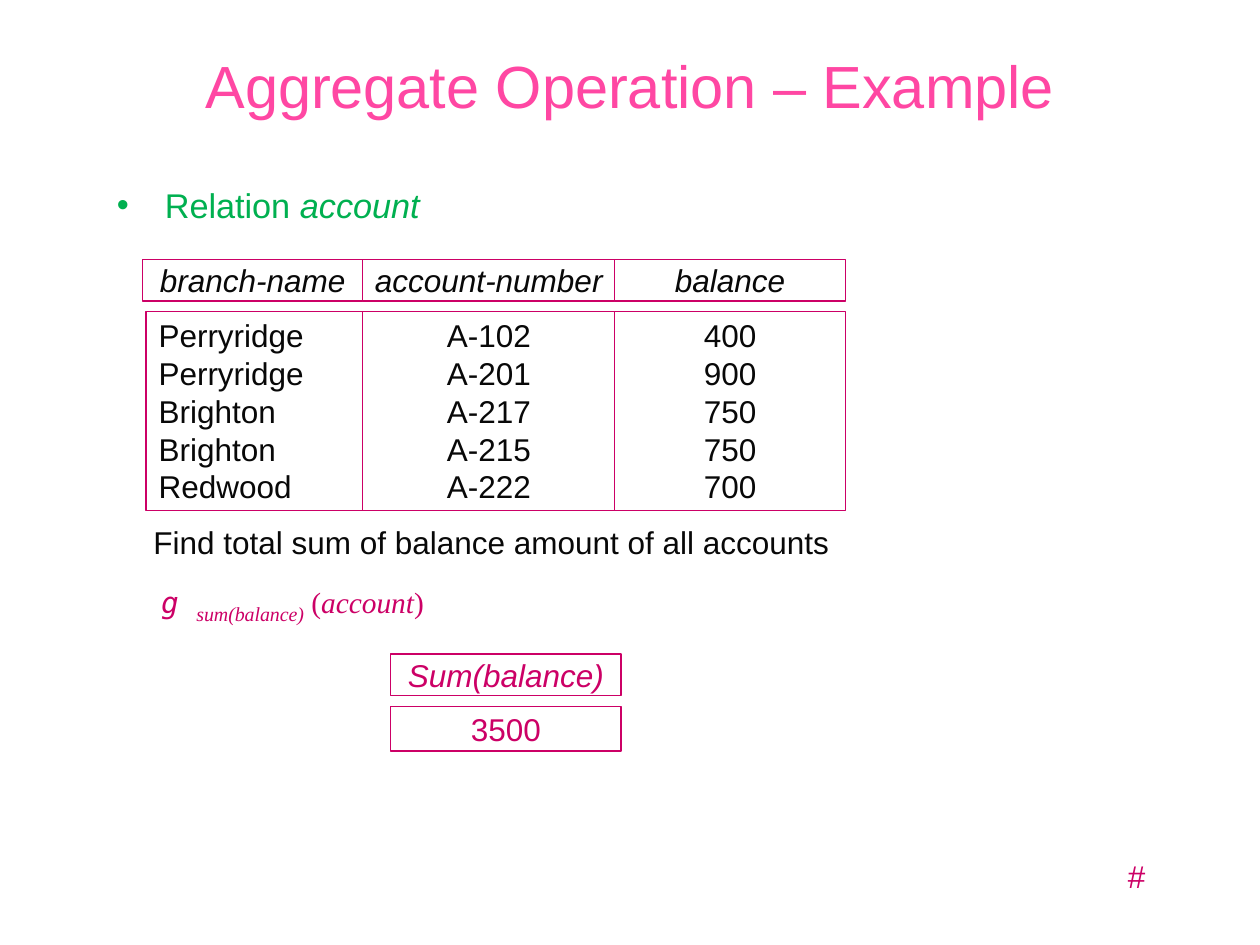
from typing import NamedTuple

import pptx
import pptx.dml.color
import pptx.enum.shapes
import pptx.enum.text
import pptx.util
from lxml import etree

RGBColor = pptx.dml.color.RGBColor
Align = pptx.enum.text.PP_ALIGN
Anchor = pptx.enum.text.MSO_ANCHOR
AutoSize = pptx.enum.text.MSO_AUTO_SIZE

MAGENTA = RGBColor(0xCC, 0x00, 0x66)
PINK = RGBColor(0xFF, 0x47, 0xA3)
GREEN = RGBColor(0x00, 0xB0, 0x50)
INK = RGBColor(0x08, 0x08, 0x08)
WHITE = RGBColor(0xFF, 0xFF, 0xFF)

# The slide is a grid of 100 columns by 75 rows.
COLUMNS, ROWS = 100, 75
SLIDE_WIDTH, SLIDE_HEIGHT = pptx.util.Inches(10), pptx.util.Inches(7.5)


class Area(NamedTuple):
    """A place on the slide, in grid columns and rows."""
    column: float
    row: float
    columns: float
    rows: float

    def lengths(self) -> list[int]:
        across, down = SLIDE_WIDTH / COLUMNS, SLIDE_HEIGHT / ROWS
        return [round(n * unit) for n, unit in zip(self, (across, down, across, down))]


class Run(NamedTuple):
    text: str
    italic: bool = False
    size: float | None = None
    font: str | None = None
    baseline: int = 0


class Field(NamedTuple):
    """One attribute of the account relation."""
    name: str
    column: float
    columns: float
    body_shift: float
    align: Align
    values: list[str]


HEADER_ROW, HEADER_ROWS = 20.6, 3.3
BODY_ROW, BODY_ROWS = 24.7, 15.8
ACCOUNT = [
    Field("branch-name", 11.3, 17.5, 0.3, Align.LEFT,
          ["Perryridge", "Perryridge", "Brighton", "Brighton", "Redwood"]),
    Field("account-number", 28.8, 20, 0, Align.CENTER,
          ["A-102", "A-201", "A-217", "A-215", "A-222"]),
    Field("balance", 48.8, 18.3, 0, Align.CENTER,
          ["400", "900", "750", "750", "700"]),
]


def write(frame, lines: list[list[Run]], *, size: float = 18, color: RGBColor = INK,
          font: str = "Arial", align: Align = Align.LEFT, anchor: Anchor = Anchor.TOP,
          wrap: bool = False, spacing: float | None = None) -> None:
    """Fill a text frame, one paragraph for each list of runs."""
    frame.word_wrap = wrap
    frame.vertical_anchor = anchor
    for index, runs in enumerate(lines):
        paragraph = frame.paragraphs[0] if index == 0 else frame.add_paragraph()
        paragraph.alignment = align
        if spacing:
            paragraph.line_spacing = spacing
        for part in runs:
            run = paragraph.add_run()
            run.text = part.text
            run.font.size = pptx.util.Pt(part.size or size)
            run.font.name = part.font or font
            run.font.italic = part.italic
            run.font.color.rgb = color
            if part.baseline:
                run.font._element.set("baseline", str(part.baseline * 1000))


def add_text(slide, area: Area, runs: list[Run], *, grow: bool = False, **text_format):
    box = slide.shapes.add_textbox(*area.lengths())
    write(box.text_frame, [runs], **text_format)
    box.text_frame.auto_size = AutoSize.SHAPE_TO_FIT_TEXT if grow else AutoSize.NONE
    return box


def add_cell(slide, area: Area, lines: list[str], *, italic: bool = False,
             align: Align = Align.CENTER, color: RGBColor = INK) -> None:
    cell = slide.shapes.add_shape(pptx.enum.shapes.MSO_SHAPE.RECTANGLE, *area.lengths())
    cell.shadow.inherit = False
    cell.fill.solid()
    cell.fill.fore_color.rgb = WHITE
    cell.line.color.rgb = MAGENTA
    cell.line.width = pptx.util.Pt(0.75)
    write(cell.text_frame, [[Run(line, italic)] for line in lines],
          color=color, align=align, anchor=Anchor.MIDDLE)


def add_bullet(paragraph, color: RGBColor, indent: float) -> None:
    properties = paragraph._p.get_or_add_pPr()
    hang = pptx.util.Inches(indent)
    properties.set("marL", str(hang))
    properties.set("indent", str(-hang))
    namespace = properties.nsmap["a"]
    bullet_color = etree.SubElement(properties, f"{{{namespace}}}buClr")
    etree.SubElement(bullet_color, f"{{{namespace}}}srgbClr", val=str(color))
    etree.SubElement(properties, f"{{{namespace}}}buFont", typeface="Arial")
    etree.SubElement(properties, f"{{{namespace}}}buChar", char="•")


def add_relation(slide) -> None:
    for field in ACCOUNT:
        add_cell(slide, Area(field.column, HEADER_ROW, field.columns, HEADER_ROWS),
                 [field.name], italic=True)
    for field in ACCOUNT:
        add_cell(slide, Area(field.column + field.body_shift, BODY_ROW,
                             field.columns, BODY_ROWS),
                 field.values, align=field.align)


def main() -> None:
    deck = pptx.Presentation()
    deck.slide_width, deck.slide_height = SLIDE_WIDTH, SLIDE_HEIGHT
    slide = deck.slides.add_slide(deck.slide_layouts[6])

    add_text(slide, Area(88.5, 67.5, 3.4, 4), [Run("#", True)], color=MAGENTA, grow=True)
    add_text(slide, Area(7.5, 1.7, 85, 10), [Run("Aggregate Operation – Example")],
             size=34, color=PINK, align=Align.CENTER, anchor=Anchor.MIDDLE, wrap=True)
    relation = add_text(slide, Area(8.3, 14.1, 76.9, 4.5),
                        [Run("Relation "), Run("account", True)],
                        size=19.6, color=GREEN, wrap=True)
    add_bullet(relation.text_frame.paragraphs[0], GREEN, 0.38)

    add_text(slide, Area(11.8, 45.8, 76.9, 4.5),
             [Run("g ", True, font="DejaVu Sans Mono"),
              Run("sum(balance)", True, size=19.6, baseline=-25),
              Run(" ("), Run("account", True), Run(")")],
             size=16.8, color=MAGENTA, font="Times New Roman", wrap=True, spacing=0.8)

    add_relation(slide)
    add_cell(slide, Area(31, 51.9, 18.3, 3.3), ["Sum(balance)"], italic=True, color=MAGENTA)
    add_cell(slide, Area(31, 56.1, 18.3, 3.5), ["3500"], color=MAGENTA)
    add_text(slide, Area(11.2, 41, 58, 4),
             [Run("Find total sum of balance amount of all accounts")], wrap=True)

    deck.save("out.pptx")


if __name__ == "__main__":
    main()
